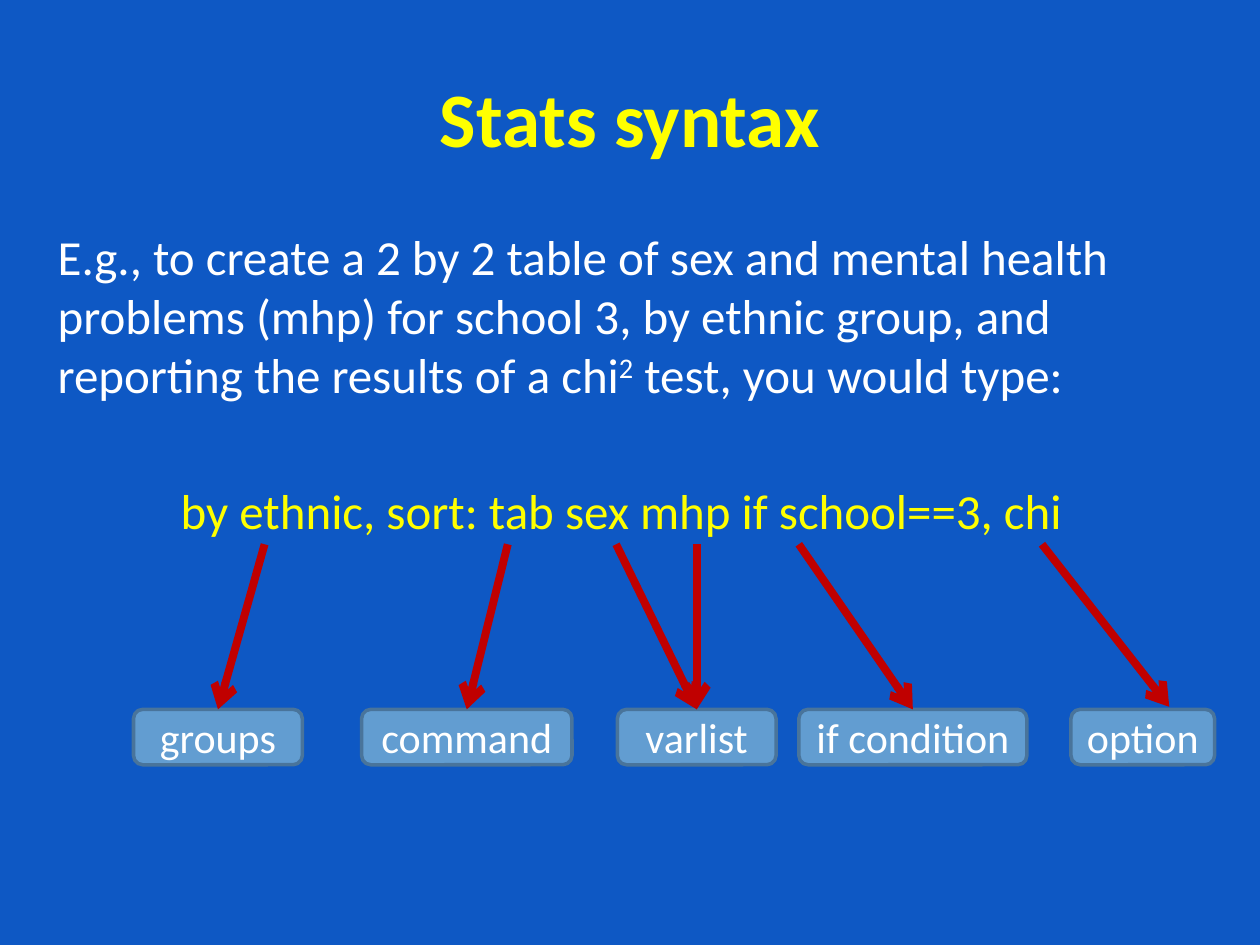
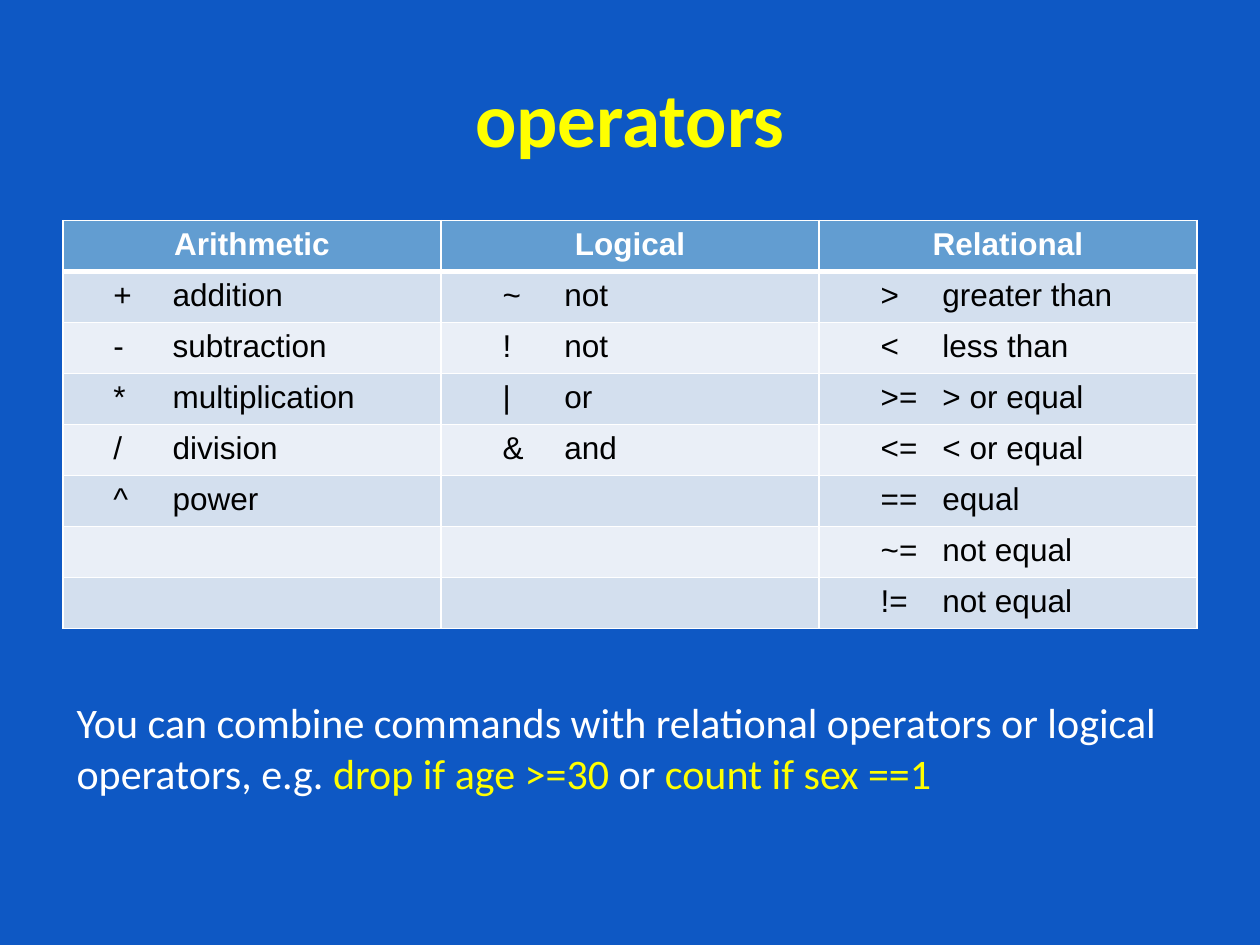
import lxml.etree
import pptx
import pptx.dml.color
import pptx.enum.shapes
import pptx.enum.text
import pptx.oxml.ns
import pptx.util

Inches = pptx.util.Inches
Pt = pptx.util.Pt
Align = pptx.enum.text.PP_ALIGN
Anchor = pptx.enum.text.MSO_ANCHOR

BLUE, WHITE, YELLOW, BLACK = "0E58C4", "FFFFFF", "FFFF00", "000000"
SKY, SKY_EDGE, RED = "629DD1", "49749B", "C00000"
BANDS = ("D3DFEE", "EAEFF7")

TITLE_BOX = (0.5, 0.3, 9, 1.25)

EXAMPLE_BOX = (0.36, 1.75, 9.14, 5.15)
ARROW_TOP = 4.32
LABEL_TOP, LABEL_HEIGHT = 5.63, 0.44
SYNTAX_PARTS = [
    ("groups", 1.06, 1.34, [2.1]),
    ("command", 2.87, 1.67, [4.03]),
    ("varlist", 4.9, 1.26, [4.89, 5.53]),
    ("if condition", 6.34, 1.81, [6.34]),
    ("option", 8.5, 1.14, [8.27]),
]
OPTION_ARROW_END = (9.28, 5.61)

TABLE_BOX = (0.5, 1.75, 9, 3.24)
OPERATORS = {
    "Arithmetic": [("+", "addition"), ("-", "subtraction"), ("*", "multiplication"),
                   ("/", "division"), ("^", "power")],
    "Logical": [("~", "not"), ("!", "not"), ("|", "or"), ("&", "and")],
    "Relational": [(">", "greater than"), ("<", "less than"), (">=", "> or equal"),
                   ("<=", "< or equal"), ("==", "equal"), ("~=", "not equal"),
                   ("!=", "not equal")],
}
SYMBOL_INDENTS = (0.3, 0.39, 0.39)
WORD_INDENTS = (0.77, 0.88, 0.88)
NOTE_BOX = (0.51, 5.48, 9.06, 0.91)


def color(value):
    """Turn a hex string into a colour."""
    return pptx.dml.color.RGBColor.from_string(value)


def inches(box):
    """Convert a sequence of numbers to lengths."""
    return [Inches(value) for value in box]


def add_child(parent, tag, **attributes):
    """Append a DrawingML element to a parent."""
    return lxml.etree.SubElement(parent, pptx.oxml.ns.qn(tag), attributes)


def add_span(para, text, size, ink, bold=False, font="Calibri"):
    """Add one formatted run to a paragraph."""
    span = para.add_run()
    span.text = text
    span.font.size = Pt(size)
    span.font.name = font
    span.font.bold = bold
    span.font.color.rgb = color(ink)
    return span


def add_text_box(page, box, anchor=Anchor.TOP):
    """Add a wrapping text box and return its text frame."""
    frame = page.shapes.add_textbox(*inches(box)).text_frame
    frame.word_wrap = True
    frame.vertical_anchor = anchor
    return frame


def add_page(deck, title):
    """Add a blue page with its yellow title."""
    page = deck.slides.add_slide(deck.slide_layouts[6])
    page.background.fill.solid()
    page.background.fill.fore_color.rgb = color(BLUE)
    para = add_text_box(page, TITLE_BOX, Anchor.MIDDLE).paragraphs[0]
    para.alignment = Align.CENTER
    add_span(para, title, 44, YELLOW, bold=True)
    return page


def add_example(page, box):
    """Write the task and the command that solves it."""
    frame = add_text_box(page, box)
    task = frame.paragraphs[0]
    add_span(task, "E.g., to create a 2 by 2 table of sex and mental health problems (mhp) "
             "for school 3, by ethnic group, and reporting the results of a chi", 28, WHITE)
    power = add_span(task, "2", 28, WHITE)
    power._r.get_or_add_rPr().set("baseline", "30000")
    add_span(task, " test, you would type:", 28, WHITE)
    command = frame.add_paragraph()
    command.alignment = Align.CENTER
    command.space_before = Pt(44)
    add_span(command, "by ethnic, sort: tab sex mhp if school==3, chi", 28, YELLOW)


def add_label(page, text, box):
    """Add a rounded label naming a part of the command."""
    label = page.shapes.add_shape(
        pptx.enum.shapes.MSO_SHAPE.ROUNDED_RECTANGLE, *inches(box))
    label.shadow.inherit = False
    label.fill.solid()
    label.fill.fore_color.rgb = color(SKY)
    label.line.color.rgb = color(SKY_EDGE)
    label.line.width = Pt(2)
    label.text_frame.vertical_anchor = Anchor.MIDDLE
    para = label.text_frame.paragraphs[0]
    para.alignment = Align.CENTER
    add_span(para, text, 24, WHITE)
    return label


def add_arrow(page, start, end):
    """Add a thick red arrow without a shadow."""
    arrow = page.shapes.add_connector(
        pptx.enum.shapes.MSO_CONNECTOR.STRAIGHT, *inches(start + end))
    arrow.line.color.rgb = color(RED)
    arrow.line.width = Pt(4.5)
    add_child(arrow.line._get_or_add_ln(), "a:tailEnd", type="arrow")
    add_child(arrow._element.spPr, "a:effectLst")
    return arrow


def add_syntax_parts(page):
    """Label each part of the command and point to the labels."""
    for text, left, width, starts in SYNTAX_PARTS:
        label = add_label(page, text, (left, LABEL_TOP, width, LABEL_HEIGHT))
        for start in starts:
            if text == "option":
                add_arrow(page, (start, ARROW_TOP), OPTION_ARROW_END)
            else:
                end = (left + width / 2, LABEL_TOP)
                add_arrow(page, (start, ARROW_TOP), end).end_connect(label, 0)


def style_cell(cell, fill, header_above, header):
    """Give a cell its white borders and its fill."""
    properties = cell._tc.get_or_add_tcPr()
    for side in "LRTB":
        thick = (side == "B" and header) or (side == "T" and header_above)
        line = add_child(properties, f"a:ln{side}", w=str(Pt(3 if thick else 1)))
        add_child(add_child(line, "a:solidFill"), "a:srgbClr", val=WHITE)
    cell.fill.solid()
    cell.fill.fore_color.rgb = color(fill)


def add_operator_table(page, box):
    """Add the table with one column per kind of operator."""
    row_count = 1 + max(len(entries) for entries in OPERATORS.values())
    table = page.shapes.add_table(row_count, len(OPERATORS), *inches(box)).table
    for row in table.rows:
        row.height = Inches(box[3] / row_count)
    for column, (heading, entries) in enumerate(OPERATORS.items()):
        for row in range(row_count):
            fill = BANDS[(row - 1) % 2] if row else SKY
            style_cell(table.cell(row, column), fill, row == 1, row == 0)
        para = table.cell(0, column).text_frame.paragraphs[0]
        para.alignment = Align.CENTER
        add_span(para, heading, 18, WHITE, bold=True, font="Arial")
        symbol, word = SYMBOL_INDENTS[column], WORD_INDENTS[column]
        for row, entry in enumerate(entries, 1):
            para = table.cell(row, column).text_frame.paragraphs[0]
            properties = para._p.get_or_add_pPr()
            properties.set("marL", str(Inches(word)))
            properties.set("indent", str(Inches(symbol) - Inches(word)))
            add_span(para, "\t".join(entry), 18, BLACK, font="Arial")


def add_note(page, box):
    """Write the note on combining commands with operators."""
    para = add_text_box(page, box).paragraphs[0]
    add_span(para, "You can combine commands with relational operators or logical "
             "operators, e.g. ", 24, WHITE)
    add_span(para, "drop if age >=30 ", 24, YELLOW)
    add_span(para, "or ", 24, WHITE)
    add_span(para, "count if sex ==1", 24, YELLOW)


def add_syntax_page(deck):
    """Build the page on command syntax."""
    page = add_page(deck, "Stats syntax")
    add_example(page, EXAMPLE_BOX)
    add_syntax_parts(page)


def add_operators_page(deck):
    """Build the page on operators."""
    page = add_page(deck, "operators")
    add_operator_table(page, TABLE_BOX)
    add_note(page, NOTE_BOX)


def main():
    """Build and save the deck."""
    deck = pptx.Presentation()
    deck.slide_width, deck.slide_height = Inches(10), Inches(7.5)
    add_syntax_page(deck)
    add_operators_page(deck)
    deck.save("out.pptx")


if __name__ == "__main__":
    main()
